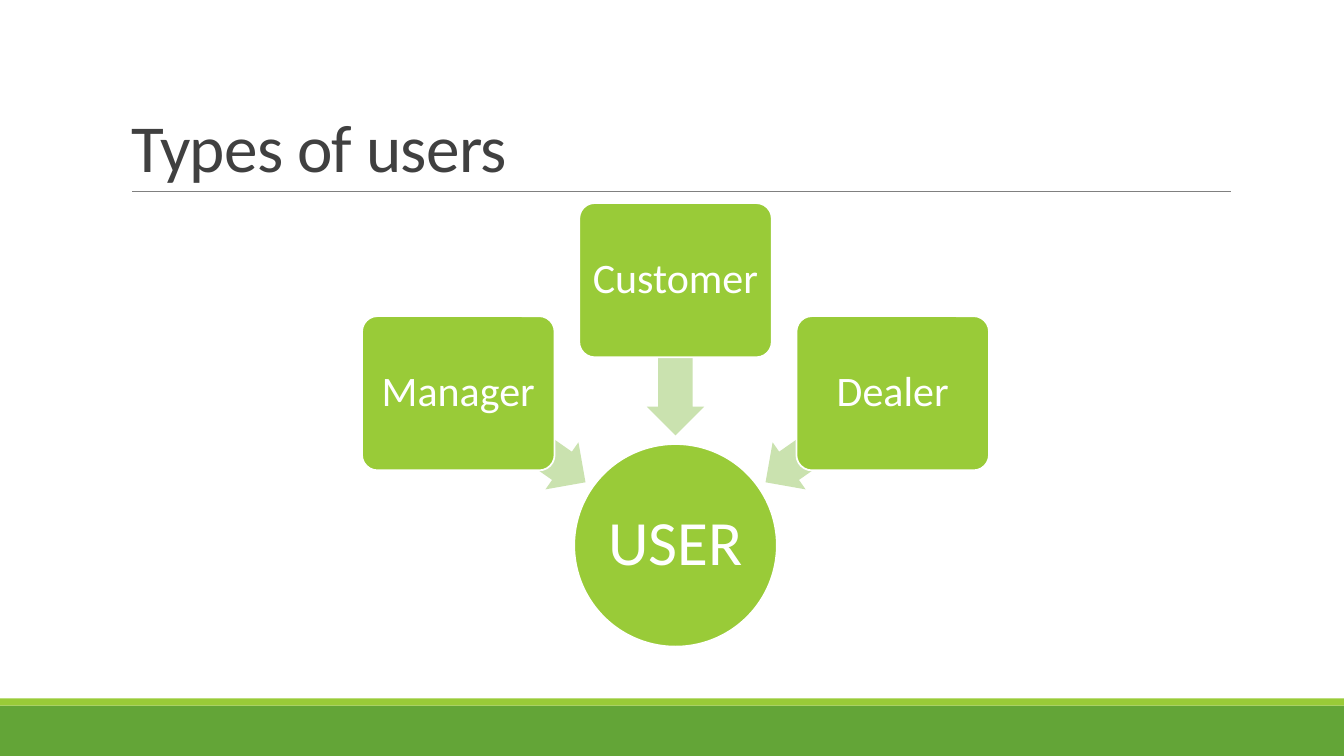
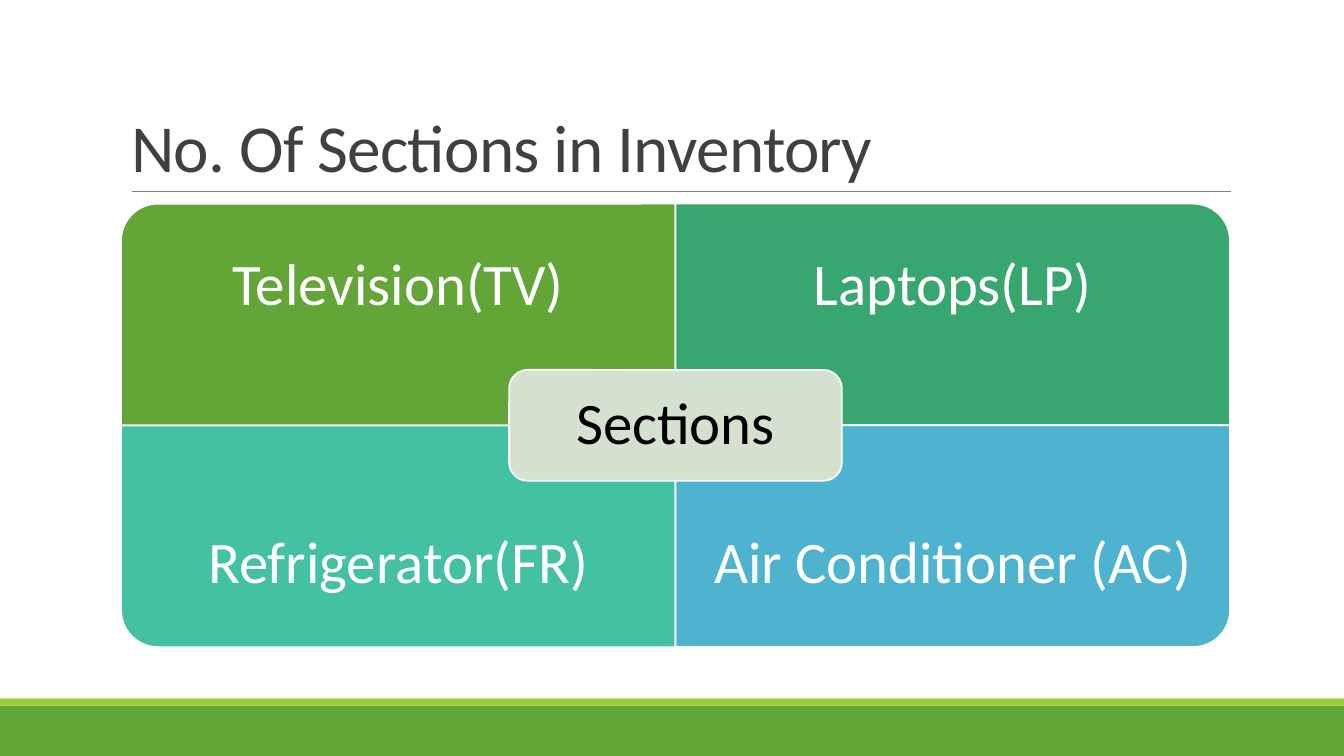
from dataclasses import dataclass
from math import cos, radians, sin

from lxml.etree import SubElement
from pptx import Presentation
from pptx.dml.color import RGBColor
from pptx.enum.shapes import MSO_CONNECTOR, MSO_SHAPE
from pptx.enum.text import MSO_ANCHOR, MSO_AUTO_SIZE, PP_ALIGN
from pptx.oxml.ns import qn
from pptx.presentation import Presentation as PresentationType
from pptx.shapes.autoshape import Shape
from pptx.slide import Slide
from pptx.util import Inches, Pt

FONT = "Calibri"
WHITE = "FFFFFF"
BLACK = "000000"
TITLE_GREY = "404040"
RULE_GREY = "808080"
GREEN = "63A537"
LIME = "99CB38"
PALE_LIME = "CAE2AF"
PALE_GREEN = "D3E1CE"
SLIDE_WIDTH = 13.33
SLIDE_HEIGHT = 7.5


@dataclass(frozen=True)
class Box:
    """A rectangle given by its centre and size in inches."""

    center_x: float
    center_y: float
    width: float
    height: float

    def emu(self) -> tuple[int, int, int, int]:
        """Return left, top, width and height as lengths."""
        left = self.center_x - self.width / 2
        top = self.center_y - self.height / 2
        return Inches(left), Inches(top), Inches(self.width), Inches(self.height)


@dataclass(frozen=True)
class UserType:
    """A kind of user and its direction from the hub in degrees."""

    name: str
    angle: int


@dataclass(frozen=True)
class Section:
    """An inventory section, its grid side and the turn of its rounded corner."""

    name: str
    color: str
    column: int
    row: int
    rotation: int


USER_TYPES = [UserType("Manager", 215), UserType("Customer", 270), UserType("Dealer", 325)]
SECTIONS = [
    Section("Television(TV)", GREEN, -1, -1, 270),
    Section("Laptops(LP)", "37A76F", 1, -1, 0),
    Section("Refrigerator(FR)", "44C1A3", -1, 1, 180),
    Section("Air Conditioner (AC)", "4EB3CF", 1, 1, 90),
]


def rgb(color: str) -> RGBColor:
    """Turn a hex string into a colour."""
    return RGBColor.from_string(color)


def add_filled_shape(
    slide: Slide, kind: MSO_SHAPE, box: Box, fill: str, outlined: bool = True, rotation: float = 0
) -> Shape:
    """Draw a flat shape, with a white outline unless told otherwise."""
    shape = slide.shapes.add_shape(kind, *box.emu())
    shape.shadow.inherit = False
    shape.rotation = rotation
    shape.fill.solid()
    shape.fill.fore_color.rgb = rgb(fill)
    if outlined:
        shape.line.color.rgb = rgb(WHITE)
        shape.line.width = Pt(1.25)
    else:
        shape.line.fill.background()
    return shape


def write_label(shape: Shape, text: str, size: float, inset: float, color: str = WHITE) -> None:
    """Write one centred line of text in a shape."""
    frame = shape.text_frame
    frame.word_wrap = True
    frame.vertical_anchor = MSO_ANCHOR.MIDDLE
    frame.margin_left = frame.margin_right = Inches(inset)
    frame.margin_top = frame.margin_bottom = Inches(inset)
    paragraph = frame.paragraphs[0]
    paragraph.text = text
    paragraph.alignment = PP_ALIGN.CENTER
    paragraph.line_spacing = 0.9
    paragraph.font.name = FONT
    paragraph.font.size = Pt(size)
    paragraph.font.color.rgb = rgb(color)


def add_title(slide: Slide, text: str) -> None:
    """Place and format the slide title."""
    title = slide.shapes.title
    title.left, title.top, title.width, title.height = Box(6.7, 1.1, 11, 1.59).emu()
    frame = title.text_frame
    frame.word_wrap = True
    frame.auto_size = MSO_AUTO_SIZE.NONE
    frame.vertical_anchor = MSO_ANCHOR.BOTTOM
    paragraph = frame.paragraphs[0]
    paragraph.text = text
    paragraph.alignment = PP_ALIGN.LEFT
    paragraph.line_spacing = 0.85
    paragraph.font.name = FONT
    paragraph.font.size = Pt(48)
    paragraph.font.color.rgb = rgb(TITLE_GREY)
    paragraph.runs[0]._r.get_or_add_rPr().set("spc", "-50")


def add_base_slide(presentation: PresentationType, title: str) -> Slide:
    """Add a slide with the shared title, rule and bottom bands."""
    slide = presentation.slides.add_slide(presentation.slide_layouts[5])
    for top, height, color in ((7, 0.5, GREEN), (6.93, 0.07, LIME)):
        band = Box(SLIDE_WIDTH / 2, top + height / 2, SLIDE_WIDTH, height)
        add_filled_shape(slide, MSO_SHAPE.RECTANGLE, band, color, outlined=False)
    rule = slide.shapes.add_connector(
        MSO_CONNECTOR.STRAIGHT, Inches(1.31), Inches(1.9), Inches(12.21), Inches(1.9)
    )
    rule.line.color.rgb = rgb(RULE_GREY)
    rule.line.width = Pt(0.5)
    SubElement(rule._element.spPr, qn("a:effectLst"))
    add_title(slide, title)
    return slide


def build_users(presentation: PresentationType) -> None:
    """Build the hub of users with cards set on an arc around it."""
    slide = add_base_slide(presentation, "Types of users")
    hub = Box(6.7, 5.41, 2.01, 2.01)
    circle = add_filled_shape(slide, MSO_SHAPE.OVAL, hub, LIME)
    write_label(circle, "USER", 45, 0.03)

    def box_on_arc(angle: int, radius: float, width: float, height: float) -> Box:
        """Centre a box at an angle and distance from the hub."""
        direction = radians(angle)
        return Box(
            hub.center_x + radius * cos(direction),
            hub.center_y + radius * sin(direction),
            width,
            height,
        )

    for user in USER_TYPES:
        arrow = add_filled_shape(
            slide,
            MSO_SHAPE.LEFT_ARROW,
            box_on_arc(user.angle, 1.86, 1.54, 0.57),
            PALE_LIME,
            outlined=False,
            rotation=user.angle,
        )
        arrow.adjustments[0] = 0.6
        card_box = box_on_arc(user.angle, 2.63, 1.91, 1.53)
        card = add_filled_shape(slide, MSO_SHAPE.ROUNDED_RECTANGLE, card_box, LIME)
        card.adjustments[0] = 0.1
        write_label(card, user.name, 30, 0.05)


def build_sections(presentation: PresentationType) -> None:
    """Build the four inventory sections around a central label."""
    slide = add_base_slide(presentation, "No. Of Sections in Inventory")
    center_x, center_y, width, height = 6.7, 4.22, 5.5, 2.2
    text_height = height * 0.75
    for section in SECTIONS:
        x = center_x + section.column * width / 2
        y = center_y + section.row * height / 2
        sideways = section.rotation % 180 == 90
        size = (height, width) if sideways else (width, height)
        add_filled_shape(
            slide,
            MSO_SHAPE.ROUND_1_RECTANGLE,
            Box(x, y, *size),
            section.color,
            rotation=section.rotation,
        )
        text_y = center_y + section.row * (height - text_height / 2)
        text_box = slide.shapes.add_textbox(*Box(x, text_y, width, text_height).emu())
        write_label(text_box, section.name, 42, 0.33)
    center_box = Box(center_x, center_y, width * 0.6, height / 2)
    center = add_filled_shape(slide, MSO_SHAPE.ROUNDED_RECTANGLE, center_box, PALE_GREEN)
    write_label(center, "Sections", 42, 0.17, BLACK)


def main() -> None:
    """Build and save the presentation."""
    presentation = Presentation()
    presentation.slide_width = Inches(SLIDE_WIDTH)
    presentation.slide_height = Inches(SLIDE_HEIGHT)
    build_users(presentation)
    build_sections(presentation)
    presentation.save("out.pptx")


if __name__ == "__main__":
    main()
